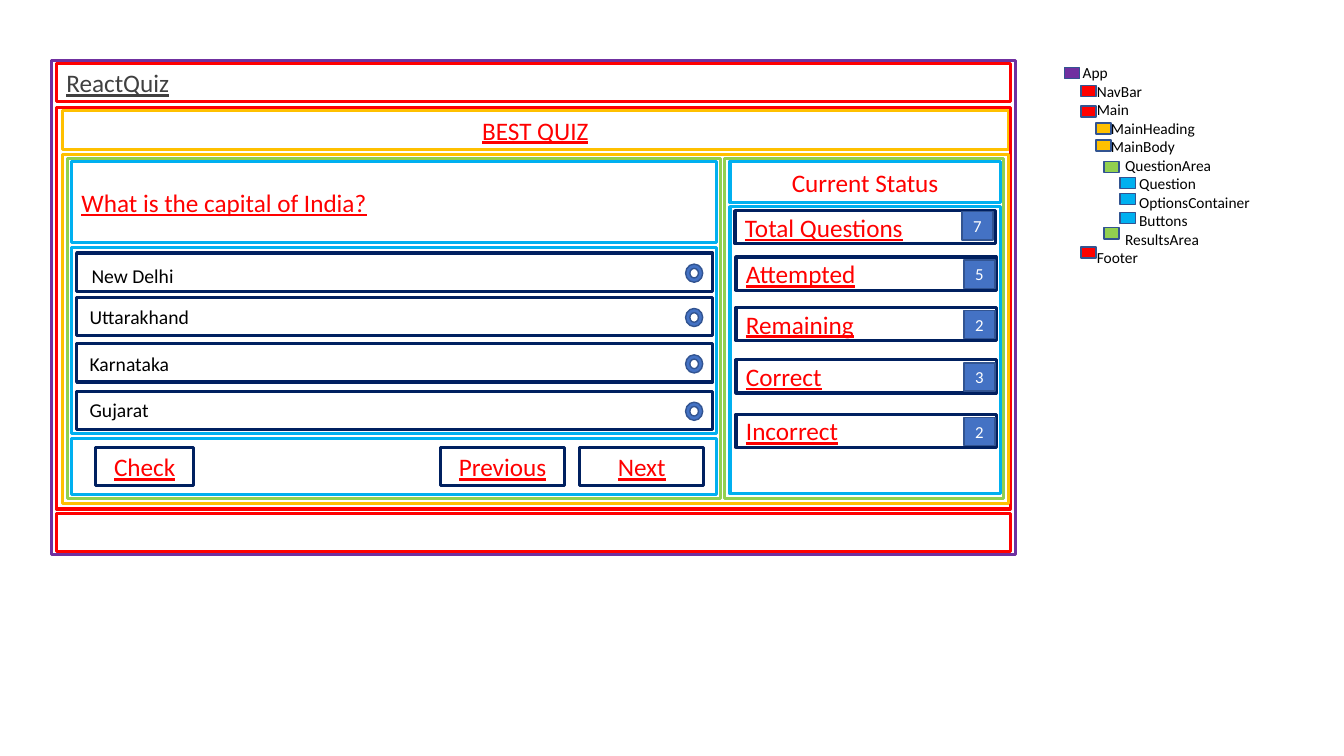
from dataclasses import dataclass
from pptx import Presentation
from pptx import util as u
from pptx.dml.color import RGBColor
from pptx.enum import shapes, text

KIND = shapes.MSO_SHAPE
LEFT, MID = text.PP_ALIGN.LEFT, text.PP_ALIGN.CENTER


@dataclass(frozen=True)
class Theme:
    face: str = "Calibri"
    purple: str = "7030A0"
    red: str = "FF0000"
    gold: str = "FFC000"
    green: str = "92D050"
    sky: str = "00B0F0"
    navy: str = "002060"
    blue: str = "4472C4"
    edge: str = "325491"
    grey: str = "404040"
    black: str = "000000"
    white: str = "FFFFFF"
    large: int = 18
    body: int = 14
    badge: int = 12
    small: int = 11
    thick: float = 2.25
    thin: float = 1


T = Theme()

# Component frames: left, top, width, height, colour
FRAMES = [
    (0.51, 0.6, 9.56, 4.9, T.purple),
    (0.56, 1.07, 9.46, 3.98, T.red),
    (0.56, 5.09, 9.46, 0.38, T.red),
    (0.62, 1.53, 9.38, 3.47, T.gold),
    (0.67, 1.57, 6.48, 3.38, T.green),
    (7.19, 1.57, 2.76, 3.38, T.green),
    (0.71, 2.46, 6.4, 1.84, T.sky),
    (0.71, 4.35, 6.4, 0.56, T.sky),
    (7.24, 2.05, 2.68, 2.85, T.sky),
]

# Answers: words, row top, label left, label drop
ANSWERS = [
    ("New Delhi", 2.51, 0.81, 0.06),
    ("Uttarakhand", 2.95, 0.79, 0.03),
    ("Karnataka", 3.41, 0.79, 0.03),
    ("Gujarat", 3.88, 0.79, 0.02),
]

# Buttons: words, left, width
BUTTONS = [("Check", 0.95, 0.97), ("Previous", 4.37, 1.23), ("Next", 5.75, 1.23)]

# Results: words, count, row left, row top, badge left, badge top
RESULTS = [
    ("Total Questions", 7, 7.29, 2.09, 9.54, 2.1),
    ("Attempted", 5, 7.3, 2.55, 9.56, 2.58),
    ("Remaining", 2, 7.3, 3.05, 9.56, 3.08),
    ("Correct", 3, 7.3, 3.57, 9.56, 3.6),
    ("Incorrect", 2, 7.3, 4.11, 9.56, 4.14),
]

# Component tree: name, depth, chip top
TREE = [
    ("App", 0, 0.67), ("NavBar", 1, 0.85), ("Main", 1, 1.05),
    ("MainHeading", 2, 1.22), ("MainBody", 2, 1.39),
    ("QuestionArea", 3, 1.6), ("Question", 4, 1.76),
    ("OptionsContainer", 4, 1.92), ("Buttons", 4, 2.11),
    ("ResultsArea", 3, 2.26), ("Footer", 1, 2.45),
]
# Chip left and colour at each depth
CHIPS = [(10.56, T.purple), (10.72, T.red), (10.87, T.gold),
         (10.95, T.green), (11.11, T.sky)]
INDENT = 0.14


def rgb(code):
    return RGBColor.from_string(code)


def apply(item, form):
    for name, value in form.items():
        setattr(item, name, value)


def place(item, *area):
    names = ("left", "top", "width", "height")
    apply(item, dict(zip(names, map(u.Inches, area))))


def outline(shape, color, width):
    shape.line.color.rgb = rgb(color)
    shape.line.width = u.Pt(width)


def write(para, words, size, color, align=LEFT, under=None):
    para.alignment = align
    run = para.add_run()
    run.text = words
    apply(run.font, {"name": T.face, "size": u.Pt(size),
                     "bold": False, "underline": under})
    run.font.color.rgb = rgb(color)


def center(frame):
    apply(frame, {"word_wrap": True, "vertical_anchor": text.MSO_ANCHOR.MIDDLE,
                  "auto_size": text.MSO_AUTO_SIZE.NONE})


def box(slide, area, line, width=T.thick, fill=None, kind=KIND.RECTANGLE):
    shape = slide.shapes.add_shape(kind, *map(u.Inches, area))
    shape.shadow.inherit = False
    if fill:
        shape.fill.solid()
        shape.fill.fore_color.rgb = rgb(fill)
    else:
        shape.fill.background()
    outline(shape, line, width)
    center(shape.text_frame)
    return shape


def panel(slide, words, area, line, align=LEFT, color=T.red, under=True):
    shape = box(slide, area, line)
    write(shape.text_frame.paragraphs[0], words, T.large, color, align, under)


def solid(slide, area, fill, kind=KIND.RECTANGLE):
    return box(slide, area, T.edge, T.thin, fill, kind)


def label(slide, area):
    frame = slide.shapes.add_textbox(*map(u.Inches, area)).text_frame
    frame.word_wrap = True
    return frame


def heading(slide, words):
    title = slide.shapes.title
    place(title, 0.62, 1.1, 9.38, 0.38)
    outline(title, T.gold, T.thick)
    center(title.text_frame)
    write(title.text_frame.paragraphs[0], words, T.large, T.red, MID, True)


def answer(slide, words, top, left, drop):
    box(slide, (0.76, top, 6.31, 0.38), T.navy)
    frame = label(slide, (left, top + drop, 5.58, 0.34))
    write(frame.paragraphs[0], words, T.body, T.black)
    solid(slide, (6.8, top + 0.11, 0.17, 0.18), T.blue, KIND.DONUT)


def result(slide, words, count, left, top, side, head):
    panel(slide, words, (left, top, 2.58, 0.33), T.navy)
    badge = solid(slide, (side, head, 0.31, 0.28), T.blue)
    write(badge.text_frame.paragraphs[0], str(count), T.badge, T.white, MID)


def tree(slide):
    frame = label(slide, (10.64, 0.58, 2.34, 2.14))
    for i, (name, depth, top) in enumerate(TREE):
        para = frame.add_paragraph() if i else frame.paragraphs[0]
        write(para, name, T.small, T.black)
        para._p.get_or_add_pPr().set("marL", str(u.Inches(depth * INDENT)))
        left, color = CHIPS[depth]
        solid(slide, (left, top, 0.15, 0.11), color)


def main():
    deck = Presentation()
    apply(deck, {"slide_width": u.Inches(13.33), "slide_height": u.Inches(7.5)})
    slide = deck.slides.add_slide(deck.slide_layouts[5])

    # Page frames and headings
    for *area, color in FRAMES:
        box(slide, area, color)
    heading(slide, "BEST QUIZ")
    panel(slide, "ReactQuiz", (0.56, 0.63, 9.46, 0.38), T.red, color=T.grey)

    # Question, answers and buttons
    panel(slide, "What is the capital of India?", (0.71, 1.6, 6.4, 0.81), T.sky)
    for row in ANSWERS:
        answer(slide, *row)
    for words, left, width in BUTTONS:
        panel(slide, words, (left, 4.44, width, 0.38), T.navy, MID)

    # Results
    panel(slide, "Current Status", (7.24, 1.6, 2.68, 0.41), T.sky, MID, under=None)
    for row in RESULTS:
        result(slide, *row)

    # Component tree
    tree(slide)
    deck.save("out.pptx")


main()
